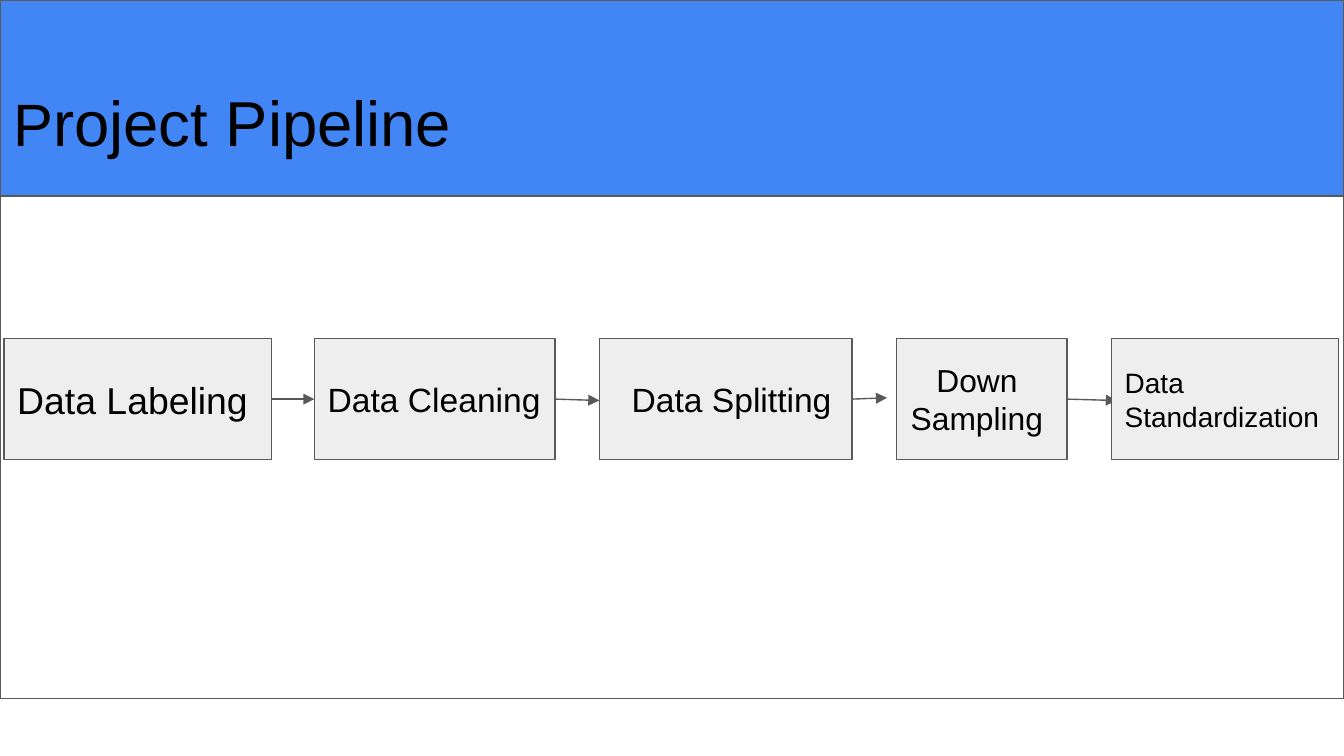
from lxml import etree
from pptx import Presentation
from pptx.dml.color import RGBColor
from pptx.enum.shapes import MSO_CONNECTOR, MSO_SHAPE
from pptx.enum.text import MSO_ANCHOR, MSO_AUTO_SIZE, PP_ALIGN
from pptx.oxml.ns import qn
from pptx.util import Inches, Pt

RECT, LINE = MSO_SHAPE.RECTANGLE, MSO_CONNECTOR.STRAIGHT
LEFT, MID = PP_ALIGN.LEFT, PP_ALIGN.CENTER
BLUE = RGBColor(0x42, 0x85, 0xF4)
WHITE = RGBColor(0xFF, 0xFF, 0xFF)
PALE = RGBColor(0xEE, 0xEE, 0xEE)
GRAY = RGBColor(0x59, 0x59, 0x59)
BLACK = RGBColor(0, 0, 0)

# Content: title runs, then steps as text, size, left, width, format
TITLE = [("P", 32), ("roject Pipeline", 34)]
STEPS = [
    ("Data Labeling", 20, 0.03, 1.99, {}),
    ("Data Cleaning", 18, 2.34, 1.79, {}),
    ("Data Splitting", 18, 4.46, 1.88, {"margin_left": Inches(0.24)}),
    ("Down Sampling", 17, 6.67, 1.27,
     {"margin_right": Inches(0.17), "align": MID}),
    ("Data Standardization", 15, 8.27, 1.69, {}),
]
# Arrow tips: x, and rise or fall from the row's middle
TIPS = [(2.34, 0), (4.46, 0.01), (6.6, -0.01), (8.31, 0.01)]
TOP, HIGH = 2.52, 0.9
FRAME = {
    "margin_left": Inches(0.1), "margin_right": Inches(0.1),
    "margin_top": Inches(0.1), "margin_bottom": Inches(0.1),
    "vertical_anchor": MSO_ANCHOR.MIDDLE,
    "word_wrap": True, "auto_size": MSO_AUTO_SIZE.NONE,
}


def paint(shape, fill):
    shape.fill.solid()
    shape.fill.fore_color.rgb = fill
    shape.line.color.rgb = GRAY
    shape.line.width = Pt(0.75)


def add_box(x, y, wide, high, fill):
    box = slide.shapes.add_shape(RECT, *map(Inches, (x, y, wide, high)))
    box.shadow.inherit = False
    paint(box, fill)
    return box


def write(shape, runs, align=LEFT, **extra):
    frame = shape.text_frame
    for name, value in {**FRAME, **extra}.items():
        setattr(frame, name, value)
    para = frame.paragraphs[0]
    para.alignment = align
    for text, size in runs:
        run = para.add_run()
        run.text = text
        run.font.name = "Arial"
        run.font.size = Pt(size)
        run.font.color.rgb = BLACK


def add_arrow(x, y, tip_x, tip_y):
    arrow = slide.shapes.add_connector(
        LINE, *map(Inches, (x, y, tip_x, tip_y)))
    arrow.line.color.rgb = GRAY
    arrow.line.width = Pt(0.75)
    props = arrow._element.spPr.find(qn("a:ln"))
    etree.SubElement(props, qn("a:tailEnd"), type="triangle")
    etree.SubElement(arrow._element.spPr, qn("a:effectLst"))


# One slide, 16 by 9
deck = Presentation()
deck.slide_width = Inches(10)
deck.slide_height = Inches(10 * 9 / 16)
slide = deck.slides.add_slide(deck.slide_layouts[5])

# Title band
title = slide.shapes.title
title.left, title.top = Inches(0), Inches(0)
title.width, title.height = Inches(10), Inches(1.81)
paint(title, BLUE)
write(title, TITLE)

# White panel
add_box(0, 1.46, 10, 3.74, WHITE)

# Steps, each with the arrow that leaves it
row = TOP + HIGH / 2
for i, (text, size, x, wide, extra) in enumerate(STEPS):
    write(add_box(x, TOP, wide, HIGH, PALE), [(text, size)], **extra)
    if i < len(TIPS):
        tip, shift = TIPS[i]
        add_arrow(x + wide, row, tip, row + shift)

deck.save("out.pptx")
